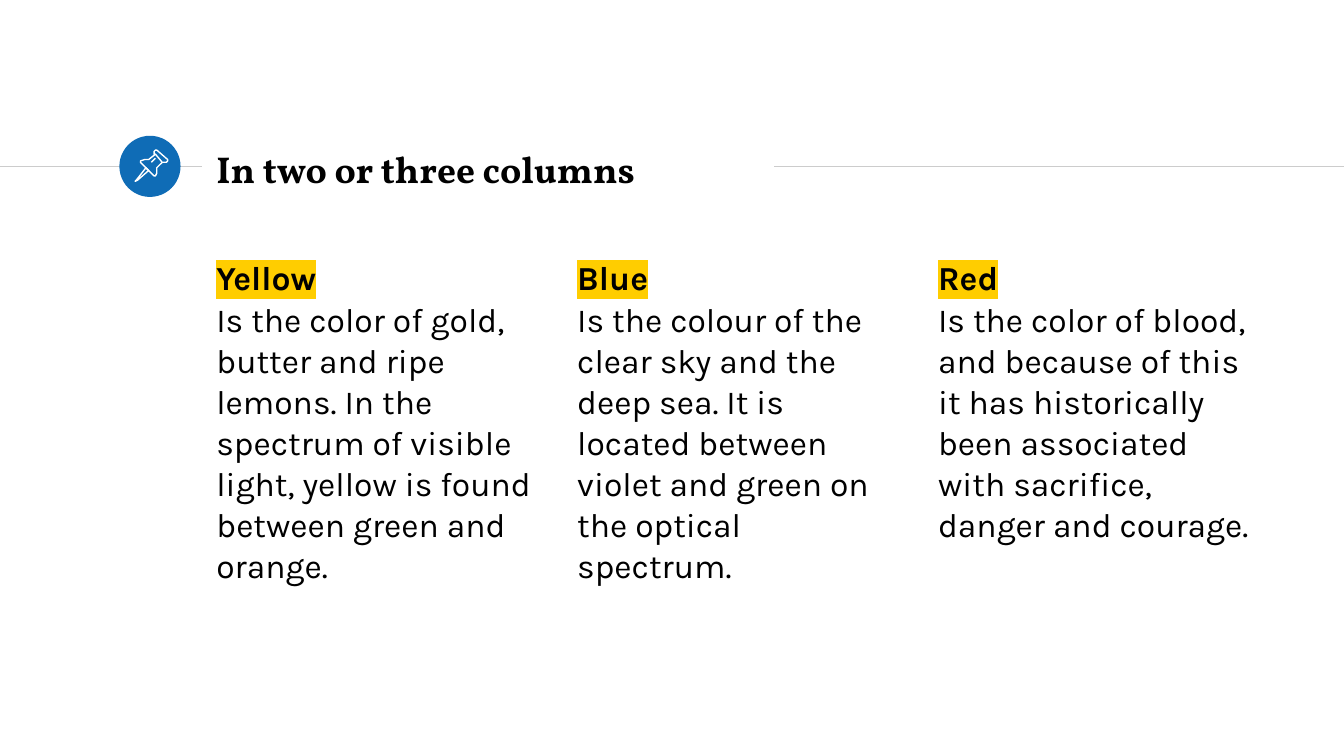
from lxml.etree import SubElement
from pptx import Presentation
from pptx.dml.color import RGBColor
from pptx.enum.shapes import MSO_CONNECTOR, MSO_SHAPE
from pptx.enum.text import MSO_ANCHOR, PP_ALIGN
from pptx.oxml.ns import qn
from pptx.util import Cm, Pt

BLACK, WHITE, BLUE, GREY, YELLOW = "000000", "FFFFFF", "0F6CB6", "CCCCCC", "FFCD00"
INSET = 0.25
BADGE_GRID = 44

PIN_STROKES = [
    ([(19, 23), (12, 32), (11, 33), (13, 32), (21, 25)], True),
    ([(26, 13), (31, 19), (32, 19), (34, 19), (35, 18), (35, 17), (27, 10),
      (26, 10), (25, 11), (25, 13)], True),
    ([(26, 13), (21, 17), (18, 17), (15, 18), (15, 19), (25, 29), (26, 29),
      (27, 27), (27, 23), (31, 19)], False),
    ([(23, 19), (26, 16)], False),
]

COLORS = [
    ("Yellow", "Is the color of gold, butter and ripe lemons. In the spectrum of "
               "visible light, yellow is found between green and orange."),
    ("Blue", "Is the colour of the clear sky and the deep sea. It is located between "
             "violet and green on the optical spectrum."),
    ("Red", "Is the color of blood, and because of this it has historically been "
            "associated with sacrifice, danger and courage."),
]


def rgb(value):
    return RGBColor.from_string(value)


def set_line(shape, color):
    shape.line.color.rgb = rgb(color)
    shape.line.width = Pt(0.75)


def set_frame(frame, anchor):
    frame.word_wrap = True
    frame.vertical_anchor = anchor
    frame.margin_left = frame.margin_right = Cm(INSET)
    frame.margin_top = frame.margin_bottom = Cm(INSET)


def add_run(paragraph, text, font, size, bold=False, highlight=None):
    run = paragraph.add_run()
    run.text = text
    run.font.name = font
    run.font.size = Pt(size)
    run.font.bold = bold
    run.font.color.rgb = rgb(BLACK)
    if highlight:
        mark = run.font.fill._xPr.makeelement(qn("a:highlight"))
        SubElement(mark, qn("a:srgbClr")).set("val", highlight)
        run.font.fill._xPr.find(qn("a:solidFill")).addnext(mark)


def add_rule(slide, left, right, y):
    rule = slide.shapes.add_connector(
        MSO_CONNECTOR.STRAIGHT, Cm(left), Cm(y), Cm(right), Cm(y))
    set_line(rule, GREY)
    SubElement(rule._element.spPr, qn("a:effectLst"))


def add_badge(slide, left, top, side):
    disc = slide.shapes.add_shape(
        MSO_SHAPE.OVAL, Cm(left), Cm(top), Cm(side), Cm(side))
    disc.shadow.inherit = False
    disc.fill.solid()
    disc.fill.fore_color.rgb = rgb(BLUE)
    set_line(disc, BLUE)

    pin = slide.shapes.add_group_shape()
    for points, closed in PIN_STROKES:
        builder = pin.shapes.build_freeform(*points[0], scale=Cm(side) / BADGE_GRID)
        builder.add_line_segments(points[1:], close=closed)
        stroke = builder.convert_to_shape(Cm(left), Cm(top))
        stroke.shadow.inherit = False
        stroke.fill.background()
        set_line(stroke, WHITE)


def add_heading(slide, text, left, top, width, height):
    heading = slide.shapes.title
    heading.left, heading.top = Cm(left), Cm(top)
    heading.width, heading.height = Cm(width), Cm(height)
    set_frame(heading.text_frame, MSO_ANCHOR.MIDDLE)
    paragraph = heading.text_frame.paragraphs[0]
    paragraph.alignment = PP_ALIGN.LEFT
    add_run(paragraph, text, "Vollkorn", 20, bold=True)


def add_column(slide, name, description, left, top, width, height):
    column = slide.shapes.add_textbox(Cm(left), Cm(top), Cm(width), Cm(height))
    frame = column.text_frame
    set_frame(frame, MSO_ANCHOR.TOP)
    name_line, description_block = frame.paragraphs[0], frame.add_paragraph()
    add_run(name_line, name, "Karla", 18, bold=True, highlight=YELLOW)
    add_run(description_block, description, "Karla", 18)
    for paragraph in frame.paragraphs:
        paragraph.line_spacing = 1.02


def add_columns(slide, entries, left, top, width, height, gap):
    for index, (name, description) in enumerate(entries):
        add_column(slide, name, description,
                   left + index * (width + gap), top, width, height)


def main():
    presentation = Presentation()
    presentation.slide_width, presentation.slide_height = Cm(25.4), Cm(14.29)
    slide = presentation.slides.add_slide(presentation.slide_layouts[5])
    add_rule(slide, 0, 3.81, 3.15)
    add_rule(slide, 14.63, 25.4, 3.15)
    add_badge(slide, 2.27, 2.58, 1.13)
    add_heading(slide, "In two or three columns", 3.84, 2.57, 10.77, 1.22)
    add_columns(slide, COLORS, 3.84, 4.6, 6.48, 8.66, 0.34)
    presentation.save("out.pptx")


if __name__ == "__main__":
    main()
